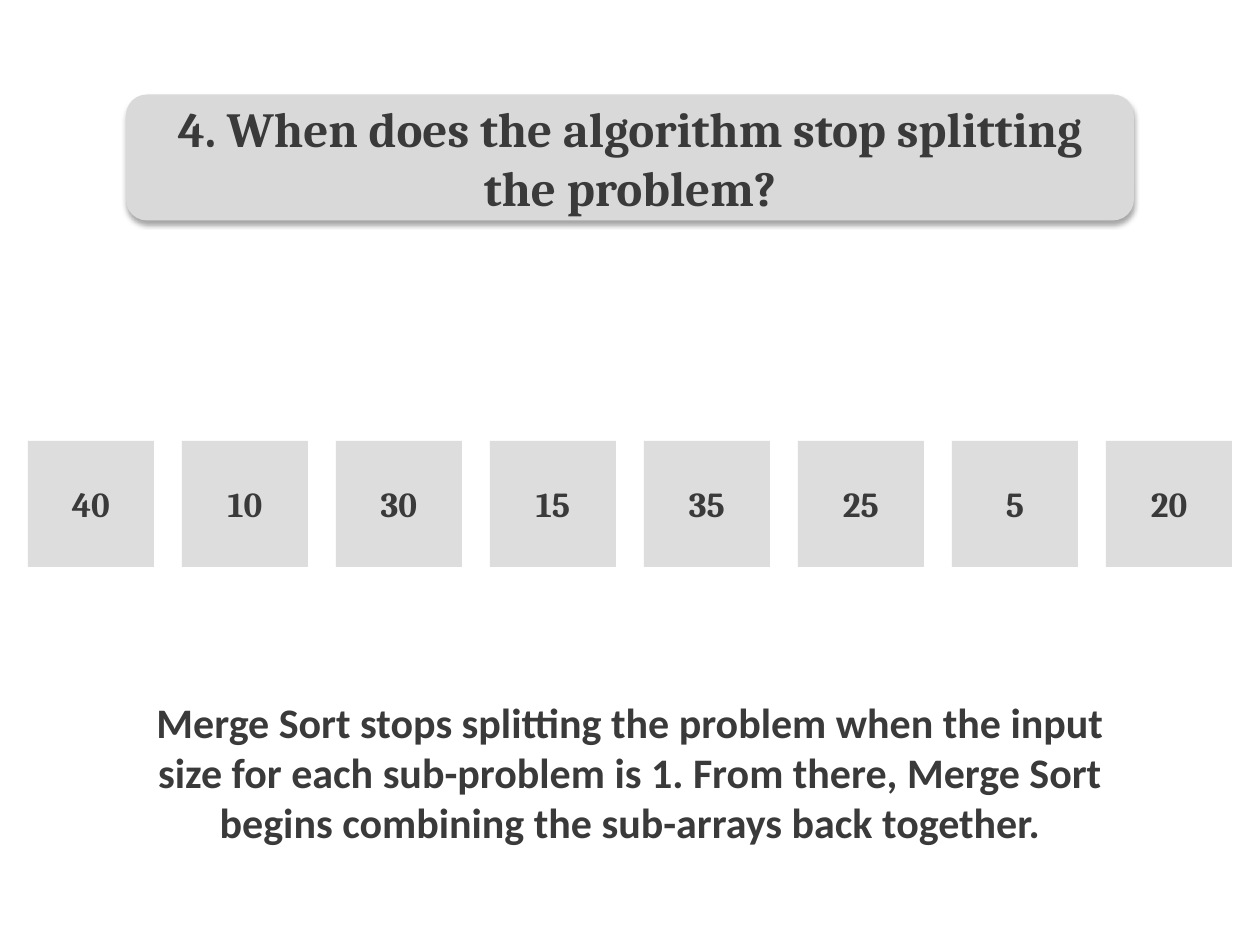
from dataclasses import dataclass

from lxml import etree
from pptx import Presentation
from pptx import util as u
from pptx.dml import color
from pptx.enum import shapes, text
from pptx.oxml import ns


@dataclass(frozen=True)
class Theme:
    ink: str = "3A3A3A"
    banner: str = "D9D9D9"
    cell: str = "DDDDDD"
    shadow: str = "000000"
    serif: str = "Cambria"
    sans: str = "Calibri"
    title_size: int = 28
    body_size: int = 24
    cell_size: int = 20


@dataclass(frozen=True)
class Box:
    left: float
    top: float
    width: float
    height: float

    def lengths(self):
        return [u.Inches(n) for n in (self.left, self.top, self.width, self.height)]


THEME = Theme()
PAGE_WIDTH, PAGE_HEIGHT = 10, 7.5


def write(shape, words, font_name, size):
    frame = shape.text_frame
    frame.word_wrap = True
    frame.vertical_anchor = text.MSO_ANCHOR.MIDDLE
    para = frame.paragraphs[0]
    para.text = words
    para.alignment = text.PP_ALIGN.CENTER
    para.font.name = font_name
    para.font.size = u.Pt(size)
    para.font.bold = True
    para.font.color.rgb = color.RGBColor.from_string(THEME.ink)


def add_panel(page, kind, box, fill):
    panel = page.shapes.add_shape(kind, *box.lengths())
    panel.shadow.inherit = False
    panel.fill.solid()
    panel.fill.fore_color.rgb = color.RGBColor.from_string(fill)
    panel.line.fill.background()
    return panel


def add_drop_shadow(shape):
    effects = shape._element.spPr.find(ns.qn("a:effectLst"))
    shadow = etree.SubElement(
        effects, ns.qn("a:outerShdw"),
        blurRad=str(u.Pt(3.15)), dist=str(u.Pt(1.8)), dir="5400000", rotWithShape="0",
    )
    tint = etree.SubElement(shadow, ns.qn("a:srgbClr"), val=THEME.shadow)
    etree.SubElement(tint, ns.qn("a:alpha"), val="35000")


def add_banner(page, box, words):
    banner = add_panel(page, shapes.MSO_SHAPE.ROUNDED_RECTANGLE, box, THEME.banner)
    add_drop_shadow(banner)
    write(banner, words, THEME.serif, THEME.title_size)


def add_answer(page, box, words):
    answer = page.shapes.add_textbox(*box.lengths())
    write(answer, words, THEME.sans, THEME.body_size)


def add_array(page, box, values):
    side = box.height
    gap = (box.width - side * len(values)) / (len(values) + 1)
    for index, value in enumerate(values):
        left = box.left + gap + index * (side + gap)
        cell = add_panel(page, shapes.MSO_SHAPE.RECTANGLE,
                         Box(left, box.top, side, side), THEME.cell)
        write(cell, str(value), THEME.serif, THEME.cell_size)


def main():
    deck = Presentation()
    deck.slide_width = u.Inches(PAGE_WIDTH)
    deck.slide_height = u.Inches(PAGE_HEIGHT)
    page = deck.slides.add_slide(deck.slide_layouts[6])
    add_banner(page, Box(1, 0.75, 8, 1),
               "4. When does the algorithm stop splitting the problem?")
    add_answer(page, Box(1, 4.75, 8, 2.75),
               "Merge Sort stops splitting the problem when the input size for each "
               "sub-problem is 1. From there, Merge Sort begins combining the "
               "sub-arrays back together.")
    add_array(page, Box(0, 3.5, PAGE_WIDTH, 1), [40, 10, 30, 15, 35, 25, 5, 20])
    deck.save("out.pptx")


if __name__ == "__main__":
    main()
